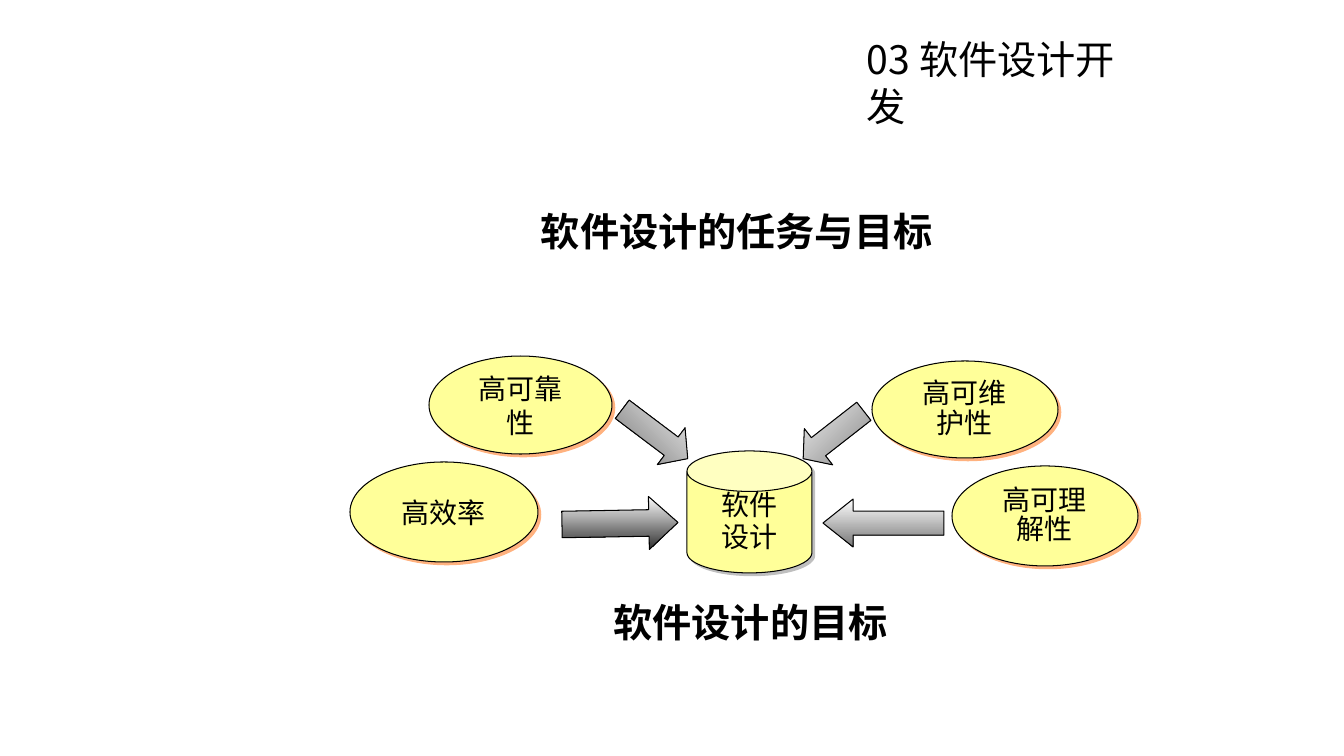
import pptx
import pptx.util
import pptx.dml.color
import pptx.enum.shapes
import pptx.enum.text
import pptx.oxml
import pptx.oxml.ns

RGB = pptx.dml.color.RGBColor
SHAPE = pptx.enum.shapes.MSO_SHAPE
ALIGN = pptx.enum.text.PP_ALIGN
ANCHOR = pptx.enum.text.MSO_ANCHOR
qn = pptx.oxml.ns.qn

SCALE = 914400 / 100.8  # EMU in one px
NOTO = "Noto Sans CJK SC"
LATIN = "Calibri"

BLACK = RGB(0x00, 0x00, 0x00)
WHITE = RGB(0xFF, 0xFF, 0xFF)
YELLOW = RGB(0xFF, 0xFF, 0x99)
ORANGE = RGB(0xFF, 0x66, 0x00)
GRAY = RGB(0x80, 0x80, 0x80)
MID = RGB(0x78, 0x78, 0x78)
DIM = RGB(0x68, 0x68, 0x68)
DARK = RGB(0x2A, 0x2A, 0x2A)


def px(*nums):
    return [pptx.util.Emu(round(num * SCALE)) for num in nums]


def write(shape, text, size, face, align, bold=False, space=None):
    frame = shape.text_frame
    frame.word_wrap = True
    frame.text = text
    for para in frame.paragraphs:
        para.alignment = align
        para.line_spacing = space
        for run in para.runs:
            font = run.font
            font.size = pptx.util.Pt(size)
            font.bold = bold
            font.color.rgb = BLACK
            font.name = face
            east = run._r.get_or_add_rPr().makeelement(qn("a:ea"), {"typeface": NOTO})
            run._r.rPr.find(qn("a:latin")).addnext(east)


def add_title(slide, box, text, face, align=ALIGN.LEFT, bold=True):
    write(slide.shapes.add_textbox(*px(*box)), text, 28, face, align, bold)


def add_form(slide, kind, box):
    shape = slide.shapes.add_shape(kind, *px(*box))
    shape.shadow.inherit = False
    shape.line.color.rgb = BLACK
    shape.line.width = pptx.util.Pt(0.75)
    return shape


def add_shade(shape, color):
    """Hard half-clear shadow down to the right."""
    shade = pptx.oxml.parse_xml(
        '<a:outerShdw xmlns:a="http://schemas.openxmlformats.org/drawingml/2006/main"'
        f' blurRad="0" dist="{pptx.util.Pt(2.8)}" dir="2700000" algn="ctr" rotWithShape="0">'
        f'<a:srgbClr val="{color}"><a:alpha val="50000"/></a:srgbClr></a:outerShdw>')
    shape._element.spPr.find(qn("a:effectLst")).append(shade)


def add_node(slide, kind, box, text, shade, face=NOTO, space=None):
    node = add_form(slide, kind, box)
    node.fill.solid()
    node.fill.fore_color.rgb = YELLOW
    add_shade(node, shade)
    node.text_frame.vertical_anchor = ANCHOR.MIDDLE
    write(node, text, 20, face, ALIGN.CENTER, space=space)
    return node


def add_arrow(slide, box, turn, head, colors, angle):
    arrow = add_form(slide, SHAPE.RIGHT_ARROW, box)
    arrow.rotation = turn
    arrow.adjustments[1] = head
    arrow.fill.gradient()
    arrow.fill.gradient_angle = angle
    for stop, color in zip(arrow.fill.gradient_stops, colors):
        stop.color.rgb = color
    arrow._element.spPr.find(qn("a:gradFill")).set("rotWithShape", "0")


def main():
    deck = pptx.Presentation()
    deck.slide_width, deck.slide_height = px(1344, 756)
    slide = deck.slides.add_slide(deck.slide_layouts[6])

    # Headings
    add_title(slide, (857, 30, 304, 57), "03 软件设计开发", NOTO, bold=False)
    add_title(slide, (531, 202, 416, 57), "软件设计的任务与目标", NOTO)

    # Centre drum
    drum = add_node(slide, SHAPE.CAN, (687, 451, 125, 122), "软件\n设计", GRAY, LATIN, 0.96)
    drum.adjustments[0] = 0.332

    # Goals around it
    goals = [
        ((429, 356, 183, 98), "高可靠性", None),
        ((872, 361, 186, 97), "高可维\n护性", 0.88),
        ((952, 466, 186, 100), "高可理\n解性", 0.88),
        ((350, 462, 188, 100), "高效率", None),
    ]
    for box, text, space in goals:
        add_node(slide, SHAPE.OVAL, box, text, ORANGE, space=space)

    # Arrows towards the drum
    arrows = [
        ((614, 411, 82, 46), 37, 0.449, (DIM, WHITE), 45),
        ((562, 497, 116, 53), 359, 0.548, (WHITE, DARK), 270),
        ((823, 499, 121, 48), 180, 0.627, (WHITE, MID), 270),
        ((795, 412, 77, 46), 142, 0.422, (WHITE, MID), 315),
    ]
    for arrow in arrows:
        add_arrow(slide, *arrow)

    # Caption
    add_title(slide, (547, 593, 407, 67), "软件设计的目标", LATIN, ALIGN.CENTER)

    deck.save("out.pptx")


if __name__ == "__main__":
    main()
